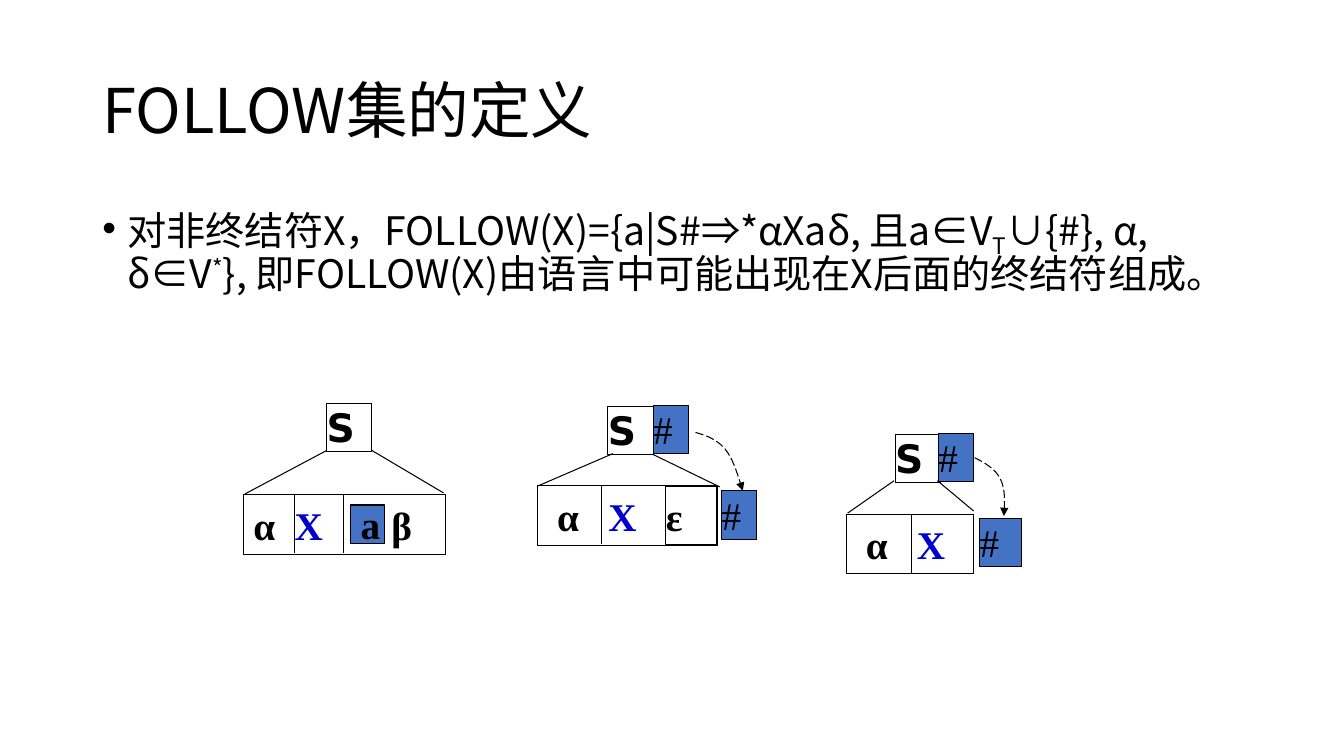
"""Build a slide that defines FOLLOW sets with three derivation trees."""
from lxml.etree import SubElement
from pptx import Presentation
from pptx.dml.color import RGBColor
from pptx.enum.dml import MSO_LINE
from pptx.enum.shapes import MSO_CONNECTOR, MSO_SHAPE
from pptx.enum.text import MSO_ANCHOR, MSO_AUTO_SIZE, PP_ALIGN
from pptx.oxml.ns import qn
from pptx.util import Pt

SANS, SERIF, BOLD_SANS = "Noto Sans CJK SC", "Times New Roman", "DejaVu Sans"
BLACK, BLUE, INK_BLUE = "000000", "4472C4", "0000CC"
BAR_H, NODE_W, NODE_H, HASH_W = 42.5, 32.4, 34.6, 25.2


def color(value):
    return RGBColor.from_string(value)


def add_text(p, text, size=28, font=SERIF, ink=BLACK, bold=False, baseline=0):
    r = p.add_run()
    r.text = text
    r.font.size = Pt(size)
    r.font.name = font
    r.font.bold = bold
    r.font.color.rgb = color(ink)
    rPr = r.font._element
    SubElement(rPr, qn("a:ea")).set("typeface", font)
    if baseline:
        rPr.set("baseline", str(baseline * 1000))


def set_frame(tf, anchor, inset=0, wrap=True):
    tf.margin_left = tf.margin_right = Pt(inset)
    tf.margin_top = tf.margin_bottom = Pt(inset / 2)
    tf.vertical_anchor = anchor
    tf.word_wrap = wrap
    tf.auto_size = MSO_AUTO_SIZE.NONE


def add_box(s, x, y, w, h, text="", fill=None, anchor=MSO_ANCHOR.TOP, inset=0, **fmt):
    sp = s.shapes.add_shape(MSO_SHAPE.RECTANGLE, Pt(x), Pt(y), Pt(w), Pt(h))
    sp.shadow.inherit = False
    if fill:
        sp.fill.solid()
        sp.fill.fore_color.rgb = color(fill)
    else:
        sp.fill.background()
    sp.line.color.rgb = color(BLACK)
    sp.line.width = Pt(0.75)
    if text:
        set_frame(sp.text_frame, anchor, inset, wrap=False)
        p = sp.text_frame.paragraphs[0]
        p.alignment = PP_ALIGN.LEFT
        add_text(p, text, **fmt)


def add_label(s, x, y, text, ink):
    sp = s.shapes.add_textbox(Pt(x), Pt(y), Pt(26), Pt(BAR_H))
    set_frame(sp.text_frame, MSO_ANCHOR.MIDDLE, wrap=False)
    add_text(sp.text_frame.paragraphs[0], text, ink=ink, bold=True)


def add_line(s, x1, y1, x2, y2):
    cn = s.shapes.add_connector(MSO_CONNECTOR.STRAIGHT, Pt(x1), Pt(y1), Pt(x2), Pt(y2))
    cn.line.color.rgb = color(BLACK)
    cn.line.width = Pt(0.75)
    SubElement(cn._element.spPr, qn("a:effectLst"))


def add_curved_arrow(s, start, *points):
    """Draw a dashed arrow of cubic curves, with three points to each curve."""
    builder = s.shapes.build_freeform(Pt(start[0]), Pt(start[1]))
    builder.add_line_segments([(Pt(x), Pt(y)) for x, y in points], close=False)
    sp = builder.convert_to_shape()
    segments = list(sp._element.iter(qn("a:lnTo")))
    outline = segments[0].getparent()
    for i in range(0, len(segments), 3):
        curve = SubElement(outline, qn("a:cubicBezTo"))
        for segment in segments[i:i + 3]:
            curve.append(segment[0])
            outline.remove(segment)
    sp.shadow.inherit = False
    sp.fill.background()
    sp.line.color.rgb = color(BLACK)
    sp.line.width = Pt(0.75)
    sp.line.dash_style = MSO_LINE.LONG_DASH
    SubElement(sp.line._get_or_add_ln(), qn("a:tailEnd")).set("type", "triangle")


def add_hash(s, x, y, w=HASH_W):
    add_box(s, x, y, w, NODE_H, "#", fill=BLUE)


def add_tree(s, root, bar, dividers, branches, symbols):
    bar_x, bar_y, bar_w = bar
    add_box(s, bar_x, bar_y, bar_w, BAR_H)
    for x in dividers:
        add_line(s, x, bar_y, x, bar_y + BAR_H - 0.7)
    for branch in branches:
        add_line(s, *branch)
    for text, x in symbols:
        add_label(s, x, bar_y, text, INK_BLUE if text == "X" else BLACK)
    add_box(s, *root, NODE_W, NODE_H, "S", font=BOLD_SANS, bold=True)


def add_title(s, text):
    sp = s.shapes.title
    sp.left, sp.top, sp.width, sp.height = Pt(66), Pt(28.8), Pt(828), Pt(104.4)
    set_frame(sp.text_frame, MSO_ANCHOR.MIDDLE, 7.2)
    p = sp.text_frame.paragraphs[0]
    p.alignment = PP_ALIGN.LEFT
    p.line_spacing = 0.9
    add_text(p, text, size=44, font=SANS)


def add_bullet(s, runs):
    sp = s.shapes.add_textbox(Pt(66), Pt(144), Pt(842), Pt(342.7))
    set_frame(sp.text_frame, MSO_ANCHOR.TOP, 7.2)
    p = sp.text_frame.paragraphs[0]
    p.line_spacing = 0.9
    p.space_before = Pt(10)
    pPr = p._p.get_or_add_pPr()
    pPr.set("marL", str(Pt(18)))
    pPr.set("indent", str(Pt(-18)))
    SubElement(pPr, qn("a:buFont")).set("typeface", "Arial")
    SubElement(pPr, qn("a:buChar")).set("char", "•")
    for text, baseline in runs:
        add_text(p, text, font=SANS, baseline=baseline)


def main():
    prs = Presentation()
    prs.slide_width, prs.slide_height = Pt(960), Pt(540)
    s = prs.slides.add_slide(prs.slide_layouts[5])
    add_title(s, "FOLLOW集的定义")
    add_bullet(s, [
        ("对非终结符X，FOLLOW(X)={a|S#⇒*αXaδ, 且a∈V", 0),
        ("T", -25),
        ("∪{#}, α, δ∈V", 0),
        ("*", 30),
        ("}, 即FOLLOW(X)由语言中可能出现在X后面的终结符组成。", 0),
    ])

    add_box(s, 250.6, 360.7, 23.8, 27.4, "a", fill=BLUE,
            anchor=MSO_ANCHOR.MIDDLE, inset=7.2, bold=True)
    add_tree(s, (233.3, 288), (174.2, 353.5, 144), (210.2, 245.5),
             [(233.3, 321.8, 175, 352.8), (265.7, 321.8, 316.8, 352.1)],
             [("α", 181), ("X", 210.5), ("β", 279.5)])

    add_box(s, 475.2, 347.8, 36.7, 41)
    add_tree(s, (434.2, 290.2), (383.8, 347, 128.9), (429.8, 475.2),
             [(437.8, 324, 384.5, 347), (466.6, 324.7, 514.1, 347.8)],
             [("α", 398), ("X", 434.5), ("ε", 475.7)])
    add_hash(s, 466.6, 289.4)
    add_hash(s, 515.5, 350.6)
    add_curved_arrow(s, (496.8, 308.9), (504.7, 311), (511.9, 313.9), (517.7, 320.4),
                     (523.4, 327.6), (527, 339.1), (530.6, 350.6))

    add_tree(s, (639.4, 310.3), (604.8, 367.2, 90.7), (650.9, 695.5),
             [(638.6, 343.4, 605.5, 366.5), (669.6, 343.4, 695.5, 365)],
             [("α", 618.5), ("X", 655)])
    add_hash(s, 670.3, 309.6)
    add_hash(s, 699.8, 370.1, 30.2)
    add_curved_arrow(s, (696.2, 326.9), (703.4, 330.5), (710.6, 334.8), (714.2, 341.3),
                     (717.8, 348.5), (717.8, 358.6), (717.1, 368.6))
    prs.save("out.pptx")


if __name__ == "__main__":
    main()
